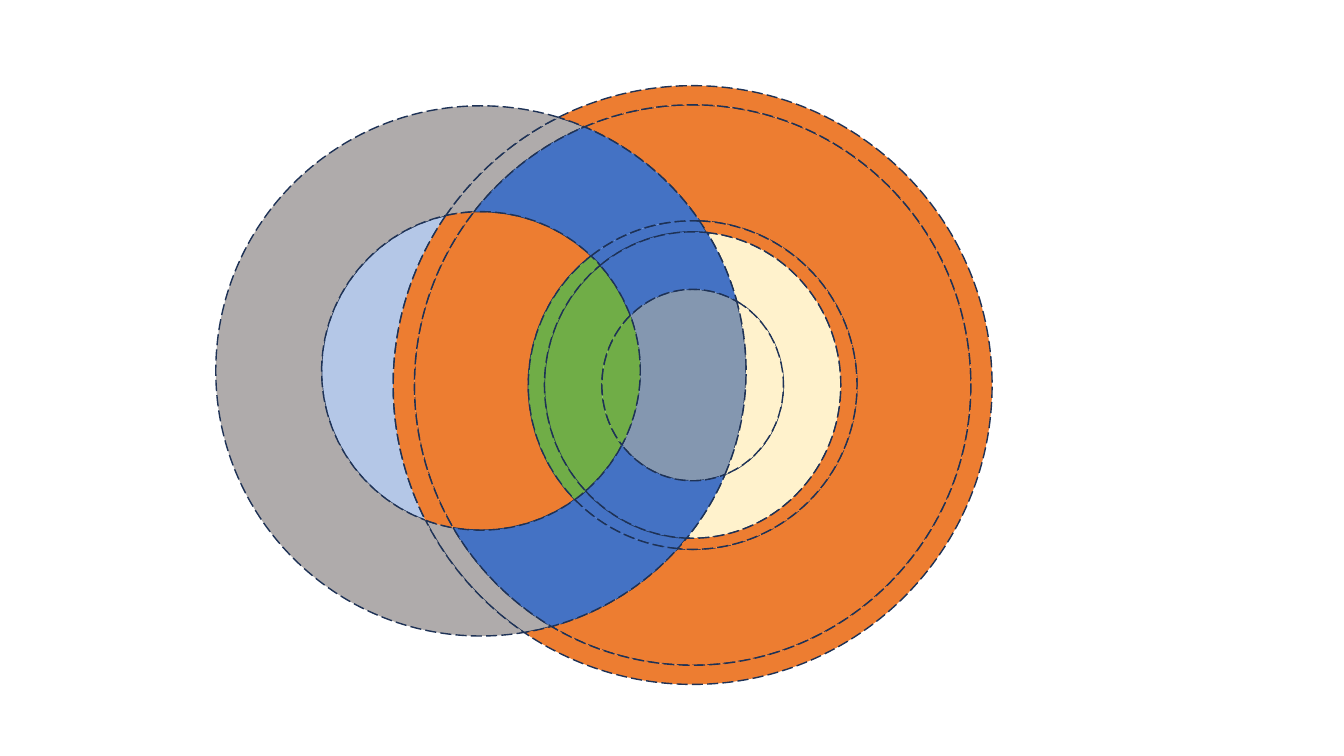
from collections import namedtuple
from dataclasses import dataclass
from math import atan2, ceil, cos, floor, pi, sin, tan, tau

from lxml.etree import SubElement
from pptx import Presentation
from pptx.dml.color import RGBColor
from pptx.enum.dml import MSO_LINE
from pptx.oxml.ns import qn
from pptx.util import Pt

PX = 9144  # EMU, 100 px to the inch
TOP, BOTTOM = -1, 1
QUARTER = pi / 2

Oval = namedtuple("Oval", "cx cy rx ry")
OUTER = Oval(477, 368, 263, 263)
INNER = Oval(477, 368, 158, 158)
RADII = [(297, 297), (276, 278), (163, 163), (147, 152), (90, 95)]
RINGS = {number: Oval(687, 382, rx, ry) for number, (rx, ry) in enumerate(RADII, 1)}
LAST = len(RINGS)


@dataclass(frozen=True)
class Theme:
    outline: str = "1E3256"
    outline_width: float = 1
    orange: str = "ED7D31"
    grey: str = "AFABAB"
    pale_blue: str = "B4C7E7"
    blue: str = "4472C4"
    cream: str = "FFF2CC"
    green: str = "70AD47"
    slate: str = "8497B0"


class Page:
    def __init__(self, deck, theme):
        self.theme = theme
        self.slide = deck.slides.add_slide(deck.slide_layouts[6])

    def region(self, outline, fill):
        """Closed shape from Bezier points: an anchor and two handles per curve."""
        start, *rest = [(x * PX, y * PX) for x, y in outline]
        builder = self.slide.shapes.build_freeform(*start)
        builder.add_line_segments(rest + [start], close=True)
        shape = builder.convert_to_shape()
        self.bend(shape)
        shape.shadow.inherit = False
        shape.fill.solid()
        shape.fill.fore_color.rgb = RGBColor.from_string(fill)
        shape.line.color.rgb = RGBColor.from_string(self.theme.outline)
        shape.line.width = Pt(self.theme.outline_width)
        shape.line.dash_style = MSO_LINE.LONG_DASH

    def bend(self, shape):
        """Turn each three straight segments into one cubic curve."""
        contour = next(shape.element.iter(qn("a:path")))
        segments = contour.findall(qn("a:lnTo"))
        for first in range(0, len(segments), 3):
            curve = SubElement(contour, qn("a:cubicBezTo"))
            for segment in segments[first:first + 3]:
                curve.append(segment[0])
                contour.remove(segment)
        contour.append(contour.find(qn("a:close")))


def point_on(oval, angle):
    return oval.cx + oval.rx * cos(angle), oval.cy + oval.ry * sin(angle)


def crossing(oval, number, side):
    """Point where a left oval meets a right ring, found by bisection."""
    ring = RINGS[number]
    inside, outside = 0, side * pi
    for _ in range(40):
        middle = (inside + outside) / 2
        x, y = point_on(oval, middle)
        if ((x - ring.cx) / ring.rx) ** 2 + ((y - ring.cy) / ring.ry) ** 2 < 1:
            inside = middle
        else:
            outside = middle
    return point_on(oval, inside)


def crossings(oval, number):
    return [crossing(oval, number, side) for side in (TOP, BOTTOM)]


def arc(oval, start, end, by_left=False):
    """Bezier points, split at quarters; top to bottom passes right unless by_left."""
    first, last = [atan2((y - oval.cy) / oval.ry, (x - oval.cx) / oval.rx)
                   for x, y in (start, end)]
    if by_left:
        first, last = first % tau, last % tau
    low, high = sorted((first, last))
    quarters = range(floor(low / QUARTER) + 1, ceil(high / QUARTER))
    angles = [low, *(quarter * QUARTER for quarter in quarters), high]
    if first > last:
        angles.reverse()
    points = []
    for begin, finish in zip(angles, angles[1:]):
        reach = 4 / 3 * tan((finish - begin) / 4)
        points.append(point_on(oval, begin))
        for angle, pull in ((begin, reach), (finish, -reach)):
            x, y = point_on(oval, angle)
            points.append((x - pull * oval.rx * sin(angle),
                           y + pull * oval.ry * cos(angle)))
    return points


def crescent(oval, number, by_left):
    """Part of one ring band beyond (right) or within (left) a left oval."""
    top, bottom = crossings(oval, number)
    edge = arc(RINGS[number], top, bottom, by_left)
    if number == LAST:
        return edge + arc(oval, bottom, top)
    next_top, next_bottom = crossings(oval, number + 1)
    return (edge + arc(oval, bottom, next_bottom)
            + arc(RINGS[number + 1], next_bottom, next_top, by_left)
            + arc(oval, next_top, top))


def right_band(number):
    return crescent(OUTER, number, by_left=False)


def inner_band(number):
    return crescent(INNER, number, by_left=True)


def inner_left(number):
    top, bottom = crossings(INNER, number)
    return arc(INNER, top, bottom, True) + arc(RINGS[number], bottom, top, True)


def between_ovals(number, by_left):
    """Area between the two left ovals, on one side of a ring."""
    ring = RINGS[number]
    outer_top, outer_bottom = crossings(OUTER, number)
    inner_top, inner_bottom = crossings(INNER, number)
    return (arc(OUTER, outer_top, outer_bottom, by_left)
            + arc(ring, outer_bottom, inner_bottom)
            + arc(INNER, inner_bottom, inner_top, by_left)
            + arc(ring, inner_top, outer_top))


def outer_left(number):
    return between_ovals(number, by_left=True)


def center(number):
    return between_ovals(number, by_left=False)


def patch(number, side):
    """Four-sided piece between both left ovals and two neighbouring rings."""
    inner, next_inner = [crossing(INNER, n, side) for n in (number, number + 1)]
    outer, next_outer = [crossing(OUTER, n, side) for n in (number, number + 1)]
    return (arc(RINGS[number], inner, outer) + arc(OUTER, outer, next_outer)
            + arc(RINGS[number + 1], next_outer, next_inner)
            + arc(INNER, next_inner, inner))


def top_patch(number):
    return patch(number, TOP)


def bottom_patch(number):
    return patch(number, BOTTOM)


def main():
    deck = Presentation()
    deck.slide_width, deck.slide_height = 1333 * PX, 750 * PX
    theme = Theme()
    page = Page(deck, theme)
    regions = [
        (right_band, 2, theme.orange), (top_patch, 1, theme.grey),
        (inner_band, 2, theme.orange), (inner_left, 1, theme.pale_blue),
        (top_patch, 3, theme.blue), (right_band, 4, theme.cream),
        (inner_band, 4, theme.green), (center, LAST, theme.slate),
        (bottom_patch, 3, theme.blue), (bottom_patch, 1, theme.grey),
        (right_band, 1, theme.orange), (outer_left, 1, theme.grey),
        (top_patch, 2, theme.blue), (inner_band, 1, theme.orange),
        (right_band, 3, theme.orange), (top_patch, 4, theme.blue),
        (inner_band, 3, theme.green), (right_band, LAST, theme.cream),
        (inner_band, LAST, theme.green), (bottom_patch, 4, theme.blue),
        (bottom_patch, 2, theme.blue),
    ]
    for outline, number, fill in regions:
        page.region(outline(number), fill)
    deck.save("out.pptx")


if __name__ == "__main__":
    main()
